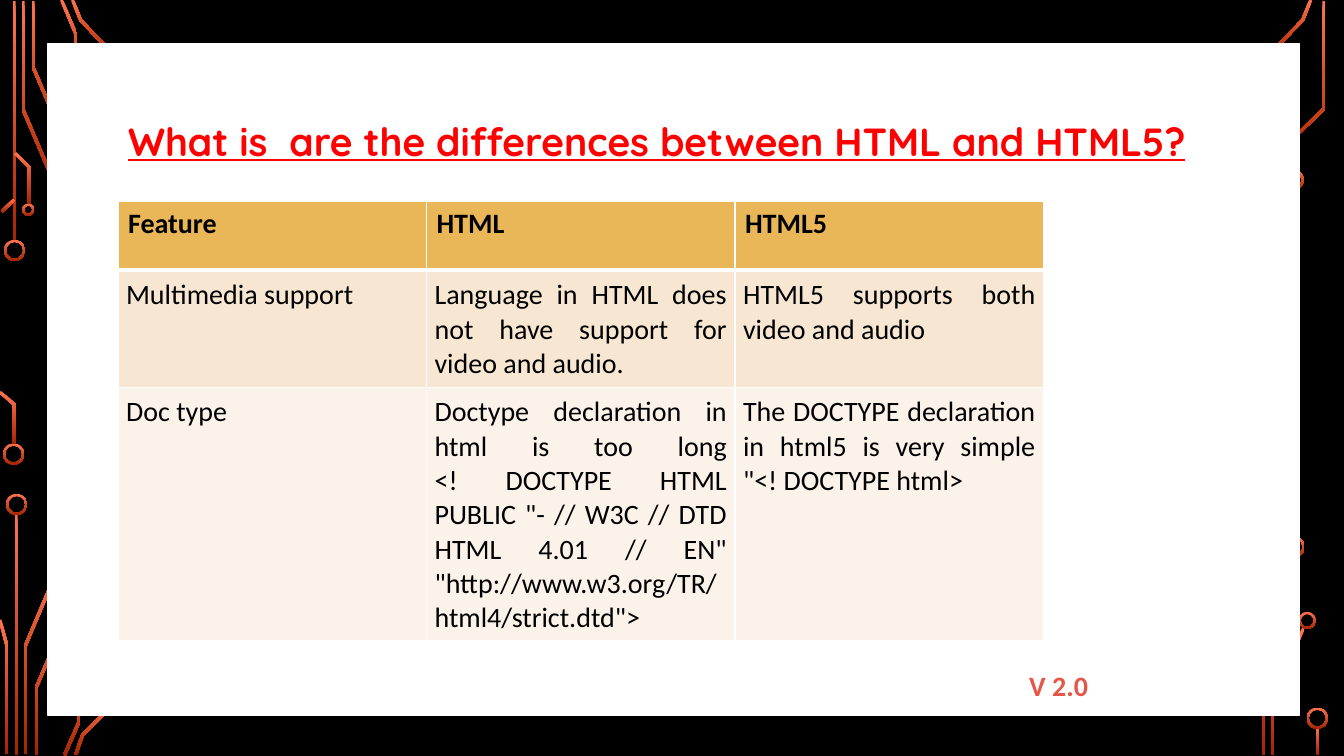
from math import hypot

from lxml import etree
from pptx import Presentation
from pptx.dml.color import RGBColor
from pptx.enum.shapes import MSO_SHAPE
from pptx.enum.text import MSO_ANCHOR, MSO_AUTO_SIZE, PP_ALIGN
from pptx.oxml.ns import qn
from pptx.util import Inches, Pt

RECTANGLE, DONUT = MSO_SHAPE.RECTANGLE, MSO_SHAPE.DONUT
LEFT, JUSTIFY = PP_ALIGN.LEFT, PP_ALIGN.JUSTIFY
TOP = MSO_ANCHOR.TOP
GROW = MSO_AUTO_SIZE.SHAPE_TO_FIT_TEXT

BLACK = RGBColor(0x00, 0x00, 0x00)
WHITE = RGBColor(0xFF, 0xFF, 0xFF)
RED = RGBColor(0xFF, 0x00, 0x00)
CORAL = RGBColor(0xE5, 0x55, 0x48)
COPPER_LIGHT = RGBColor(0xFF, 0x74, 0x4E)
COPPER_DARK = RGBColor(0xA6, 0x24, 0x00)
HEADER_FILL = RGBColor(0xE9, 0xB7, 0x58)
BAND_FILLS = [RGBColor(0xF7, 0xE6, 0xD1), RGBColor(0xFB, 0xF3, 0xEA)]

TRACE_WIDTH = 0.03

# Centre lines of the circuit traces, in inches
TRACES = [
    [(0.14, 0.01), (0.14, 2.4)],
    [(0.23, 0.01), (0.23, 1.09), (0.61, 1.98)],
    [(0.33, 0.01), (0.33, 0.67), (0.71, 1.56)],
    [(0.61, 0), (0.75, 0.33), (0.75, 1)],
    [(0.72, 0), (0.8, 0.2), (1.15, 0.57)],
    [(0.14, 1.98), (0.02, 2.1)],
    [(0, 3.89), (0.14, 4.01), (0.14, 4.41)],
    [(0.15, 1.52), (0.29, 1.66), (0.29, 2.03)],
    [(0.16, 5.1), (0.16, 7.49)],
    [(0.25, 7.48), (0.25, 6.41), (0.63, 5.51)],
    [(0.07, 7.48), (0.07, 6.41), (0, 6.15)],
    [(0.36, 7.49), (0.36, 6.82), (0.74, 5.93)],
    [(0.64, 7.49), (0.78, 7.17), (0.78, 6.5)],
    [(0.75, 7.49), (0.82, 7.29), (1.18, 6.93)],
    [(13, 0), (12.92, 0.2), (12.57, 0.56)],
    [(12.62, 7.49), (12.62, 6.93), (12.93, 6.23)],
    [(12.82, 1.69), (12.82, 1.38), (13.13, 1.08), (13.13, 0.01)],
    [(12.53, 7.49), (12.53, 6.13), (12.83, 5.83), (12.83, 5.52)],
    [(13.07, 7.21), (13.07, 7.49)],
]

# Left, top and diameter of the ring at the end of a trace
RINGS = [
    (0.04, 2.38, 0.21), (0.03, 4.4, 0.21), (0.22, 2.02, 0.12),
    (0.06, 4.9, 0.21), (12.72, 1.68, 0.21), (12.88, 6.07, 0.17),
    (12.73, 5.32, 0.21), (12.96, 7.02, 0.21),
]

ROWS = [
    ["Feature", "HTML", "HTML5"],
    ["Multimedia support",
     "Language in HTML does not have support for video and audio.",
     "HTML5 supports both video and audio"],
    ["Doc type",
     'Doctype declaration in html is too long\n'
     '<! DOCTYPE HTML PUBLIC "- // W3C // DTD HTML 4.01 // EN" '
     '"http://www.w3.org/TR/html4/strict.dtd">',
     'The DOCTYPE declaration in html5 is very simple "<! DOCTYPE html>'],
]
ROW_HEIGHTS = [0.68, 1.16, 2.51]
COLUMN_WIDTH = 3.06


def ribbon(points, width):
    """Return the outline of a mitred band along a centre line."""
    normals = []
    for (x1, y1), (x2, y2) in zip(points, points[1:]):
        length = hypot(x2 - x1, y2 - y1)
        normals.append(((y1 - y2) / length, (x2 - x1) / length))
    near, far = [], []
    for (x, y), (ax, ay), (bx, by) in zip(
            points, normals[:1] + normals, normals + normals[-1:]):
        k = width / 2 / (1 + ax * bx + ay * by)
        dx, dy = k * (ax + bx), k * (ay + by)
        near.append((x + dx, y + dy))
        far.append((x - dx, y - dy))
    return near + far[::-1]


class SlideBuilder:
    def __init__(self, prs, font="Calibri"):
        self.font = font
        self.slide = prs.slides.add_slide(prs.slide_layouts[5])
        self.shapes = self.slide.shapes
        self.slide.background.fill.solid()
        self.slide.background.fill.fore_color.rgb = BLACK

    def copper(self, sp):
        """Give a circuit part its top-to-bottom gradient."""
        sp.shadow.inherit = False
        sp.line.fill.background()
        sp.fill.gradient()
        sp.fill.gradient_angle = 270
        for stop, color in zip(sp.fill.gradient_stops,
                               (COPPER_LIGHT, COPPER_DARK)):
            stop.color.rgb = color

    def trace(self, points):
        outline = [(Inches(x), Inches(y))
                   for x, y in ribbon(points, TRACE_WIDTH)]
        builder = self.shapes.build_freeform(*outline[0])
        builder.add_line_segments(outline[1:], close=True)
        self.copper(builder.convert_to_shape())

    def ring(self, left, top, size):
        sp = self.shapes.add_shape(DONUT, Inches(left), Inches(top),
                                   Inches(size), Inches(size))
        sp.adjustments[0] = 0.02 / size
        self.copper(sp)

    def panel(self, left, top, width, height):
        sp = self.shapes.add_shape(RECTANGLE, Inches(left), Inches(top),
                                   Inches(width), Inches(height))
        sp.shadow.inherit = False
        sp.fill.solid()
        sp.fill.fore_color.rgb = WHITE
        sp.line.color.rgb = WHITE
        sp.line.width = Pt(1.25)
        return sp

    def add_text(self, tf, text, size, color, bold=False, align=LEFT,
                 font=None):
        p = tf.paragraphs[0]
        p.alignment = align
        for i, line in enumerate(text.split("\n")):
            if i:
                p.add_line_break()
            r = p.add_run()
            r.text = line
            r.font.name = font or self.font
            r.font.size = Pt(size)
            r.font.bold = bold
            r.font.color.rgb = color
        return p

    def title(self, text, left, top, width, height, behind):
        sp = self.shapes.title
        behind.element.addnext(sp.element)
        sp.left, sp.top = Inches(left), Inches(top)
        sp.width, sp.height = Inches(width), Inches(height)
        tf = sp.text_frame
        tf.word_wrap, tf.auto_size, tf.vertical_anchor = True, GROW, TOP
        p = self.add_text(tf, text, 28, RED, bold=True, font="Quicksand")
        p.runs[0].font.underline = True

    def label(self, text, left, top, width, height):
        sp = self.shapes.add_textbox(Inches(left), Inches(top),
                                     Inches(width), Inches(height))
        tf = sp.text_frame
        tf.word_wrap, tf.auto_size = True, GROW
        self.add_text(tf, text, 20, CORAL, bold=True)

    def border(self, cell, side, points):
        ln = etree.SubElement(cell._tc.get_or_add_tcPr(), qn("a:ln" + side),
                              w=str(Pt(points)))
        fill = etree.SubElement(ln, qn("a:solidFill"))
        etree.SubElement(fill, qn("a:srgbClr"), val=str(WHITE))

    def table(self, rows, left, top):
        frame = self.shapes.add_table(
            len(rows), len(rows[0]), Inches(left), Inches(top),
            Inches(COLUMN_WIDTH * len(rows[0])), Inches(sum(ROW_HEIGHTS)))
        table = frame.table
        table.first_row = table.horz_banding = False
        for column in table.columns:
            column.width = Inches(COLUMN_WIDTH)
        for i, texts in enumerate(rows):
            table.rows[i].height = Inches(ROW_HEIGHTS[i])
            header = i == 0
            for j, text in enumerate(texts):
                cell = table.cell(i, j)
                for side in "LRTB":
                    under_header = (i, side) in ((0, "B"), (1, "T"))
                    self.border(cell, side, 3 if under_header else 1)
                cell.fill.solid()
                cell.fill.fore_color.rgb = (
                    HEADER_FILL if header else BAND_FILLS[(i - 1) % 2])
                if not header:
                    cell.margin_left = cell.margin_right = Inches(0.08)
                    cell.margin_top = cell.margin_bottom = Inches(0.08)
                self.add_text(cell.text_frame, text, 20, BLACK, bold=header,
                              align=LEFT if header else JUSTIFY)


def main():
    prs = Presentation()
    prs.slide_width, prs.slide_height = Inches(13.33), Inches(7.5)
    s = SlideBuilder(prs)
    for points in TRACES:
        s.trace(points)
    for ring in RINGS:
        s.ring(*ring)
    panel = s.panel(0.47, 0.44, 12.42, 6.65)
    s.title("What is  are the differences between HTML and HTML5?",
            1.17, 1.11, 10.91, 0.57, behind=panel)
    s.table(ROWS, 1.17, 2)
    s.label("V 2.0", 10.11, 6.58, 1.97, 0.44)
    prs.save("out.pptx")


if __name__ == "__main__":
    main()
